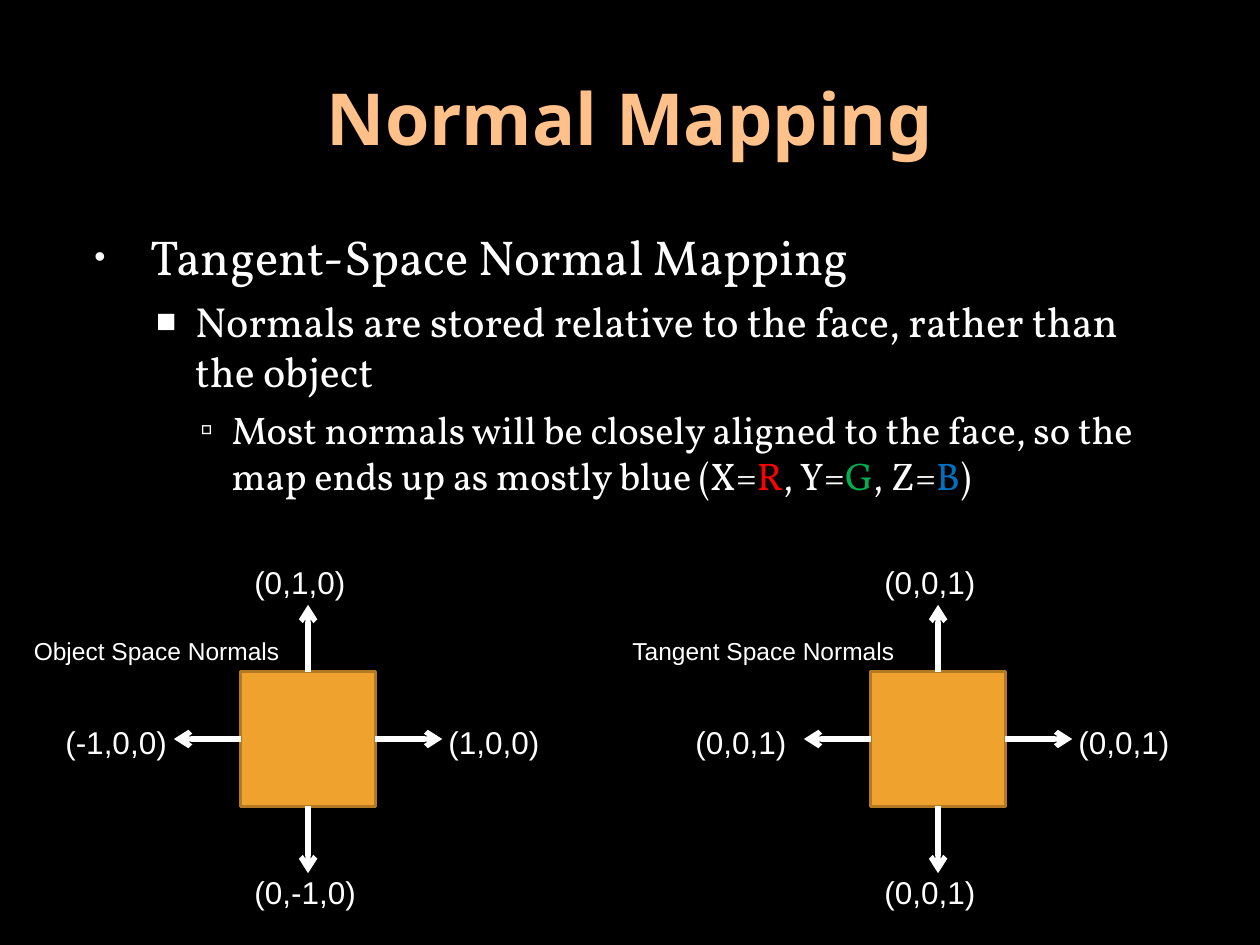
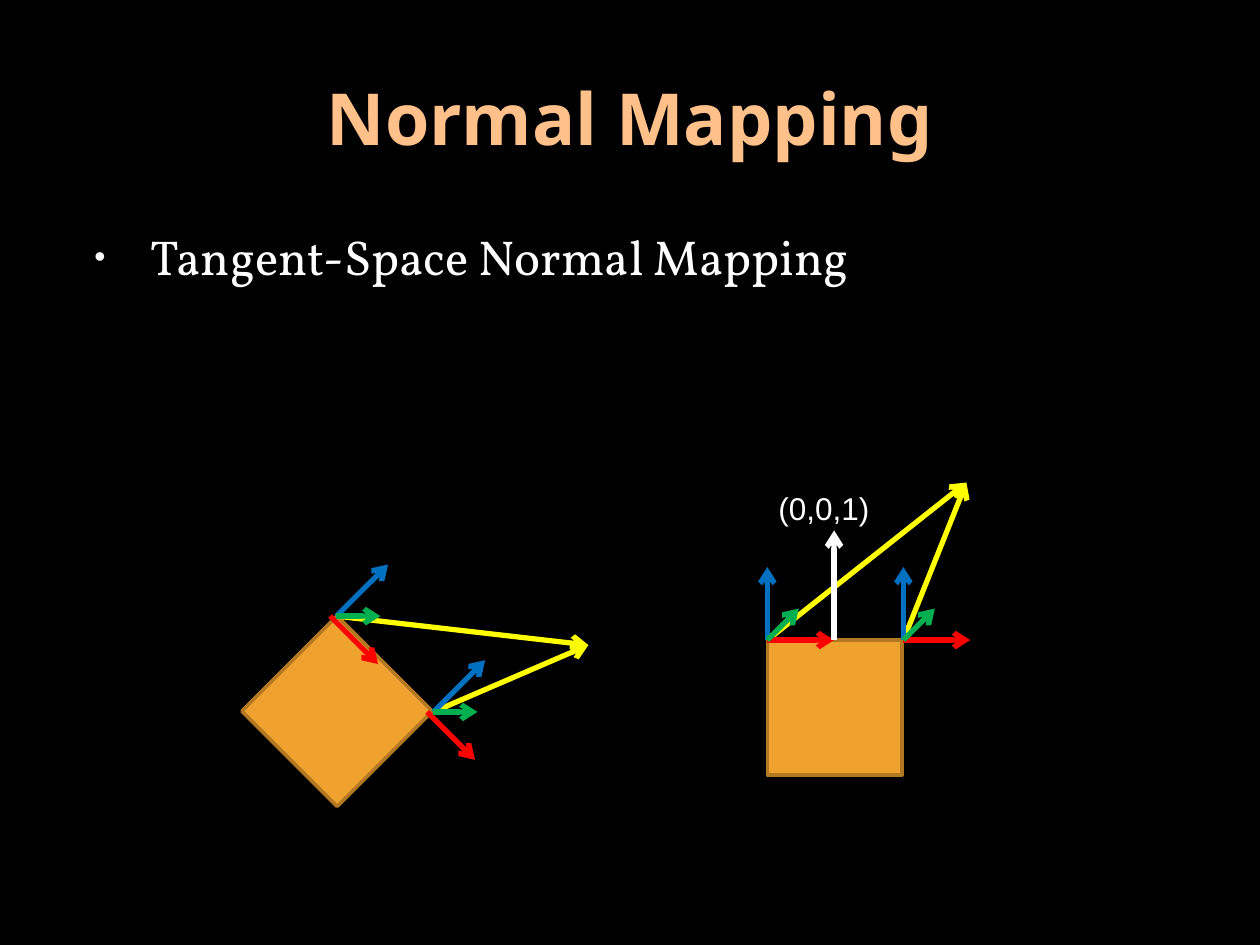
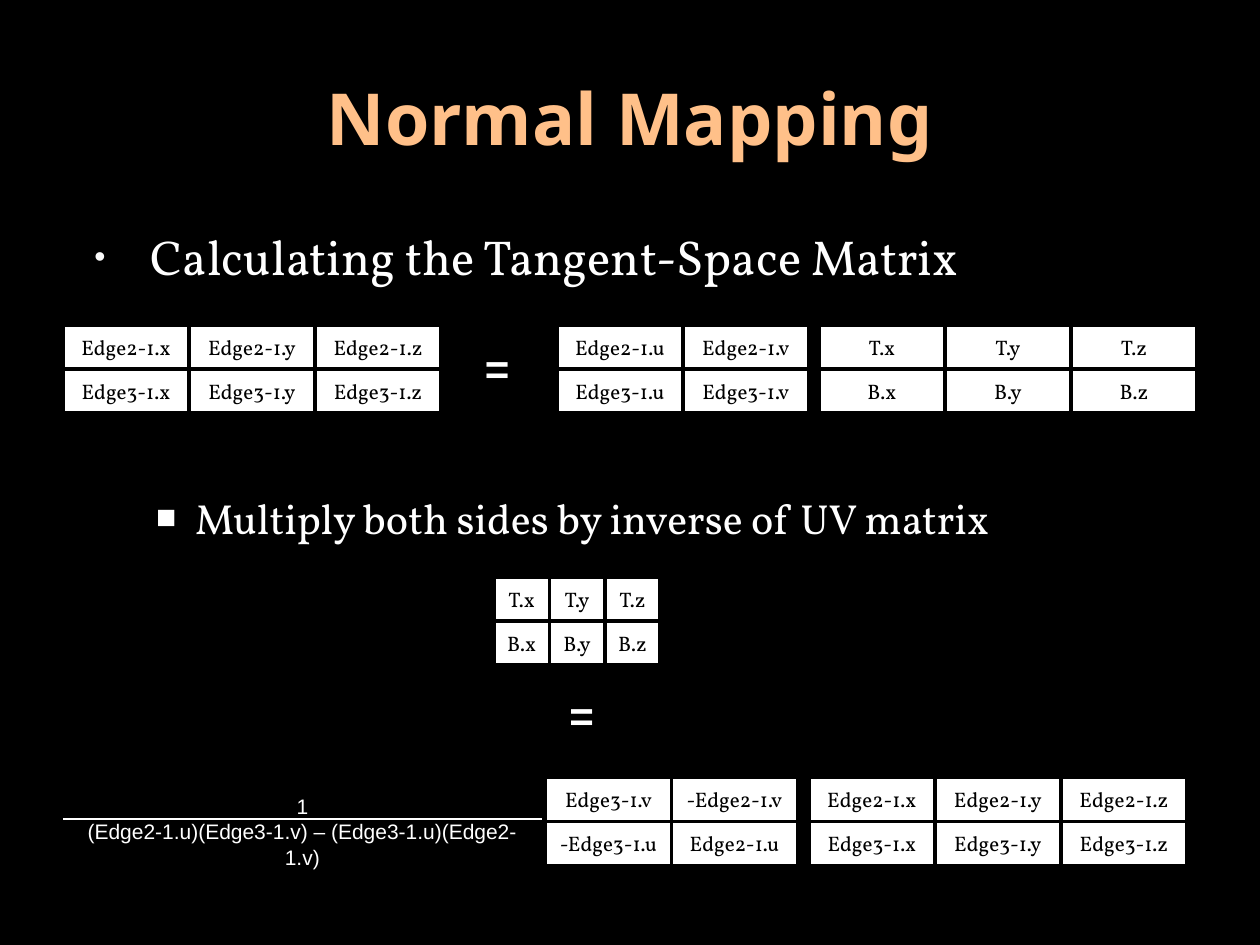
from lxml.etree import SubElement
from pptx import Presentation
from pptx.dml.color import RGBColor
from pptx.enum.shapes import MSO_CONNECTOR, MSO_SHAPE
from pptx.enum.text import MSO_ANCHOR, PP_ALIGN
from pptx.oxml.ns import qn
from pptx.util import Inches, Pt

BLACK, WHITE = "000000", "FFFFFF"
PEACH, ORANGE, BROWN = "FFC089", "F0A22E", "B27822"
RED, GREEN, BLUE, YELLOW = "FF0000", "00B050", "0070C0", "FFFF00"
TITLE_FONT, BODY_FONT, LABEL_FONT = "Noto Sans", "Vollkorn", "Arial"
SIDE = 1.07
ARROW = 0.53
ROW_H = 0.35
LEVELS = [
    dict(size=28, left=0.6, hang=0.45, char="•", scale=65, color="F9F9F9", before=0),
    dict(size=24, left=0.95, hang=0.31, char="■", scale=80, color=WHITE, before=5.7),
    dict(size=22, left=1.24, hang=0.25, char="▫", scale=95, color=WHITE, before=5.3),
]
EDGES = [["Edge2-1.x", "Edge2-1.y", "Edge2-1.z"], ["Edge3-1.x", "Edge3-1.y", "Edge3-1.z"]]
UVS = [["Edge2-1.u", "Edge2-1.v"], ["Edge3-1.u", "Edge3-1.v"]]
INVERSE_UVS = [["Edge3-1.v", "-Edge2-1.v"], ["-Edge3-1.u", "Edge2-1.u"]]
TANGENTS = [["T.x", "T.y", "T.z"], ["B.x", "B.y", "B.z"]]


def rgb(color):
    return RGBColor.from_string(color)


def add_run(p, text, size, font=LABEL_FONT, color=WHITE, bold=False):
    r = p.add_run()
    r.text = text
    r.font.size = Pt(size)
    r.font.name = font
    r.font.color.rgb = rgb(color)
    r.font.bold = bold


def add_slide(prs):
    s = prs.slides.add_slide(prs.slide_layouts[5])
    title = s.shapes.title
    title.left, title.top = Inches(0.5), Inches(0.3)
    title.width, title.height = Inches(9), Inches(1.25)
    tf = title.text_frame
    tf.vertical_anchor = MSO_ANCHOR.MIDDLE
    p = tf.paragraphs[0]
    p.alignment = PP_ALIGN.CENTER
    add_run(p, "Normal Mapping", 41, TITLE_FONT, PEACH, True)
    return s


def add_bullet(p, style):
    pPr = p._p.get_or_add_pPr()
    pPr.set("marL", str(Inches(style["left"])))
    pPr.set("indent", str(-Inches(style["hang"])))
    color = SubElement(pPr, qn("a:buClr"))
    SubElement(color, qn("a:srgbClr"), val=style["color"])
    SubElement(pPr, qn("a:buSzPct"), val=str(style["scale"] * 1000))
    SubElement(pPr, qn("a:buFont"), typeface=LABEL_FONT)
    SubElement(pPr, qn("a:buChar"), char=style["char"])


def add_body(s, items, gaps={}):
    tf = s.shapes.add_textbox(Inches(0.5), Inches(1.75), Inches(9), Inches(5.15)).text_frame
    tf.word_wrap = True
    for i, (level, runs) in enumerate(items):
        p = tf.paragraphs[0] if i == 0 else tf.add_paragraph()
        style = LEVELS[level]
        p.level = level
        add_bullet(p, style)
        if i:
            p.space_before = Pt(gaps.get(i, style["before"]))
        for text, color in runs:
            add_run(p, text, style["size"], BODY_FONT, color)


def add_label(s, x, y, w, h, lines, size=18, bold=False, align=PP_ALIGN.LEFT, wrap=True):
    tf = s.shapes.add_textbox(Inches(x), Inches(y), Inches(w), Inches(h)).text_frame
    tf.word_wrap = wrap
    for i, line in enumerate(lines):
        p = tf.paragraphs[0] if i == 0 else tf.add_paragraph()
        p.alignment = align
        add_run(p, line, size, bold=bold)


def add_rect(s, x, y, w, h, fill, line):
    sp = s.shapes.add_shape(MSO_SHAPE.RECTANGLE, Inches(x), Inches(y), Inches(w), Inches(h))
    sp.shadow.inherit = False
    sp.fill.solid()
    sp.fill.fore_color.rgb = rgb(fill)
    sp.line.color.rgb = rgb(line)
    sp.line.width = Pt(2)
    return sp


def add_line(s, x1, y1, x2, y2, color=WHITE, width=3, arrow=True):
    line = s.shapes.add_connector(
        MSO_CONNECTOR.STRAIGHT, Inches(x1), Inches(y1), Inches(x2), Inches(y2))
    line.line.color.rgb = rgb(color)
    line.line.width = Pt(width)
    if arrow:
        SubElement(line.line._get_or_add_ln(), qn("a:tailEnd"), type="arrow")
    SubElement(line._element.spPr, qn("a:effectLst"))


def add_normals(s, x, y, caption, caption_x, caption_w, up, down, right, left):
    add_rect(s, x, y, SIDE, SIDE, ORANGE, BROWN)
    half = SIDE / 2
    for dx, dy in [(-1, 0), (0, -1), (1, 0), (0, 1)]:
        start_x, start_y = x + half + dx * half, y + half + dy * half
        add_line(s, start_x, start_y, start_x + dx * ARROW, start_y + dy * ARROW)
    add_label(s, x + 0.01, y - 0.91, 1.03, 0.4, [up])
    add_label(s, x + 0.01, y + 1.55, 1.25, 0.4, [down])
    add_label(s, x + 1.55, y + 0.36, 1.04, 0.4, [right])
    add_label(s, x - 1.49, y + 0.36, 1.02, 0.4, [left])
    add_label(s, x + caption_x, y - 0.33, caption_w, 0.34, [caption], 14, wrap=False)


def add_lit_face(s, x, y, rotation, corners, light, axes):
    add_rect(s, x, y, SIDE, SIDE, ORANGE, BROWN).rotation = rotation
    for cx, cy in corners:
        add_line(s, x + cx, y + cy, x + light[0], y + light[1], YELLOW)
    for cx, cy in corners:
        for color, shift, dx, dy in axes:
            start_x, start_y = x + cx + shift, y + cy
            add_line(s, start_x, start_y, start_x + dx, start_y + dy, color)


def add_matrix(s, x, y, rows, cell_w=1):
    for i, row in enumerate(rows):
        for j, text in enumerate(row):
            sp = add_rect(s, x + j * cell_w, y + i * ROW_H, cell_w, ROW_H, WHITE, BLACK)
            tf = sp.text_frame
            tf.word_wrap = False
            tf.vertical_anchor = MSO_ANCHOR.MIDDLE
            p = tf.paragraphs[0]
            p.alignment = PP_ALIGN.CENTER
            add_run(p, text, 12, BODY_FONT, BLACK)


def add_equals(s, x, y):
    add_label(s, x, y, 0.44, 0.51, ["="], 24, True)


def add_fraction(s, x, y, w, top, bottom):
    add_label(s, x, y, w, 0.51, [top, bottom], 12, align=PP_ALIGN.CENTER)
    add_line(s, x, y + 0.25, x + w, y + 0.25, width=1.5, arrow=False)


def build_spaces_slide(prs):
    s = add_slide(prs)
    add_body(s, [
        (0, [("Tangent-Space Normal Mapping", WHITE)]),
        (1, [("Normals are stored relative to the face, rather than the object", WHITE)]),
        (2, [("Most normals will be closely aligned to the face, so the map ends up "
              "as mostly blue (X=", WHITE), ("R", RED), (", Y=", WHITE), ("G", GREEN),
             (", Z=", WHITE), ("B", BLUE), (")", WHITE)]),
    ])
    add_normals(s, 1.91, 5.33, "Object Space Normals", -1.74, 2.16,
                "(0,1,0)", "(0,-1,0)", "(1,0,0)", "(-1,0,0)")
    add_normals(s, 6.91, 5.33, "Tangent Space Normals", -1.99, 2.29, *["(0,0,1)"] * 4)


def build_light_slide(prs):
    s = add_slide(prs)
    add_body(s, [(0, [("Tangent-Space Normal Mapping", WHITE)])])
    add_lit_face(s, 2.14, 5.11, 45, [(0.53, -0.22), (1.3, 0.54)], (2.53, 0.01),
                 [(BLUE, 0, 0.41, -0.41), (RED, -0.05, 0.38, 0.38), (GREEN, 0, 0.35, 0)])
    add_lit_face(s, 6.09, 5.08, 0, [(0, 0), (1.08, 0)], (1.58, -1.25),
                 [(BLUE, 0, 0, -0.58), (RED, 0, 0.53, 0), (GREEN, 0, 0.25, -0.25)])
    add_line(s, 6.62, 5.08, 6.62, 4.21)
    add_label(s, 6.08, 3.83, 1.03, 0.4, ["(0,0,1)"])


def build_matrix_slide(prs):
    s = add_slide(prs)
    add_body(s, [
        (0, [("Calculating the Tangent-Space Matrix", WHITE)]),
        (1, [("Multiply both sides by inverse of UV matrix", WHITE)]),
    ], gaps={1: 118})
    add_matrix(s, 0.5, 2.58, EDGES)
    add_equals(s, 3.75, 2.67)
    add_matrix(s, 4.42, 2.58, UVS)
    add_matrix(s, 6.5, 2.58, TANGENTS)
    add_matrix(s, 3.92, 4.58, TANGENTS, 0.44)
    add_equals(s, 4.42, 5.42)
    add_fraction(s, 0.5, 6.25, 3.8, "1", "(Edge2-1.u)(Edge3-1.v) – (Edge3-1.u)(Edge2-1.v)")
    add_matrix(s, 4.33, 6.17, INVERSE_UVS)
    add_matrix(s, 6.42, 6.17, EDGES)


def main():
    prs = Presentation()
    prs.slide_width, prs.slide_height = Inches(10), Inches(7.5)
    background = prs.slide_master.background.fill
    background.solid()
    background.fore_color.rgb = rgb(BLACK)
    build_spaces_slide(prs)
    build_light_slide(prs)
    build_matrix_slide(prs)
    prs.save("out.pptx")


if __name__ == "__main__":
    main()
